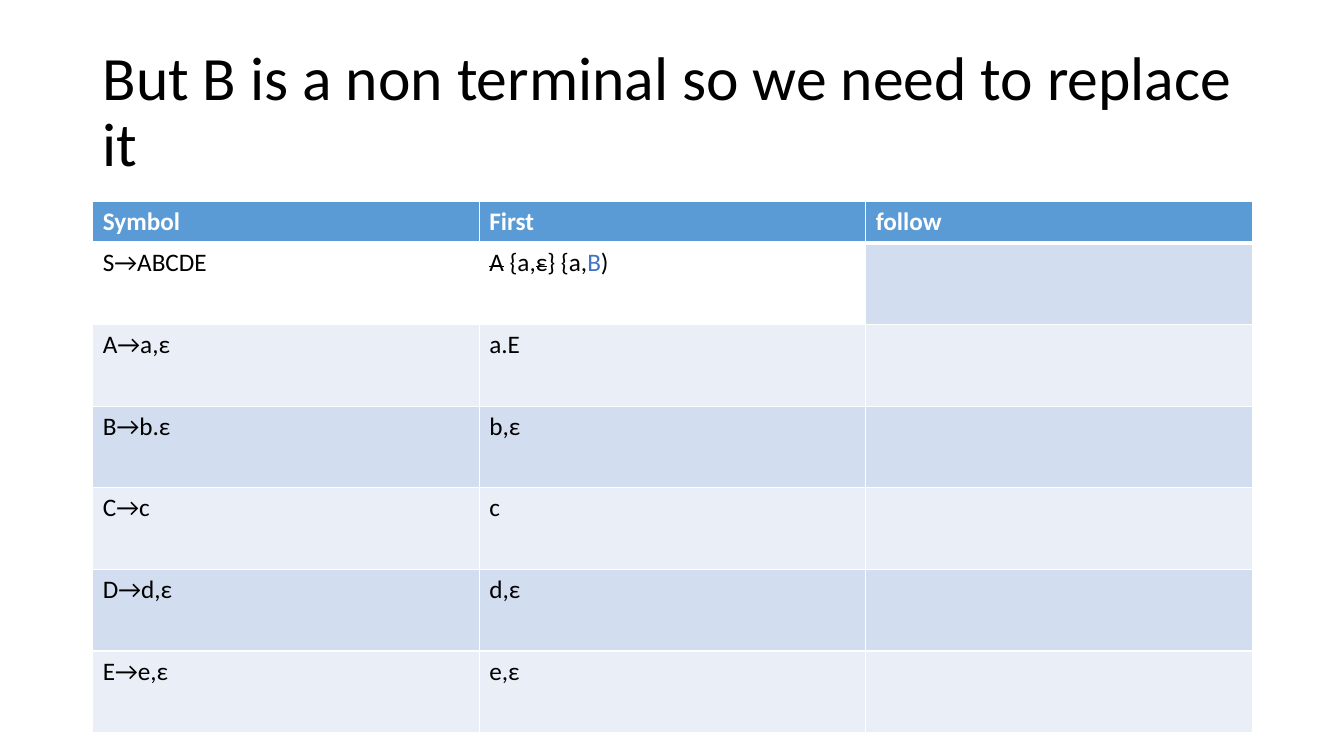
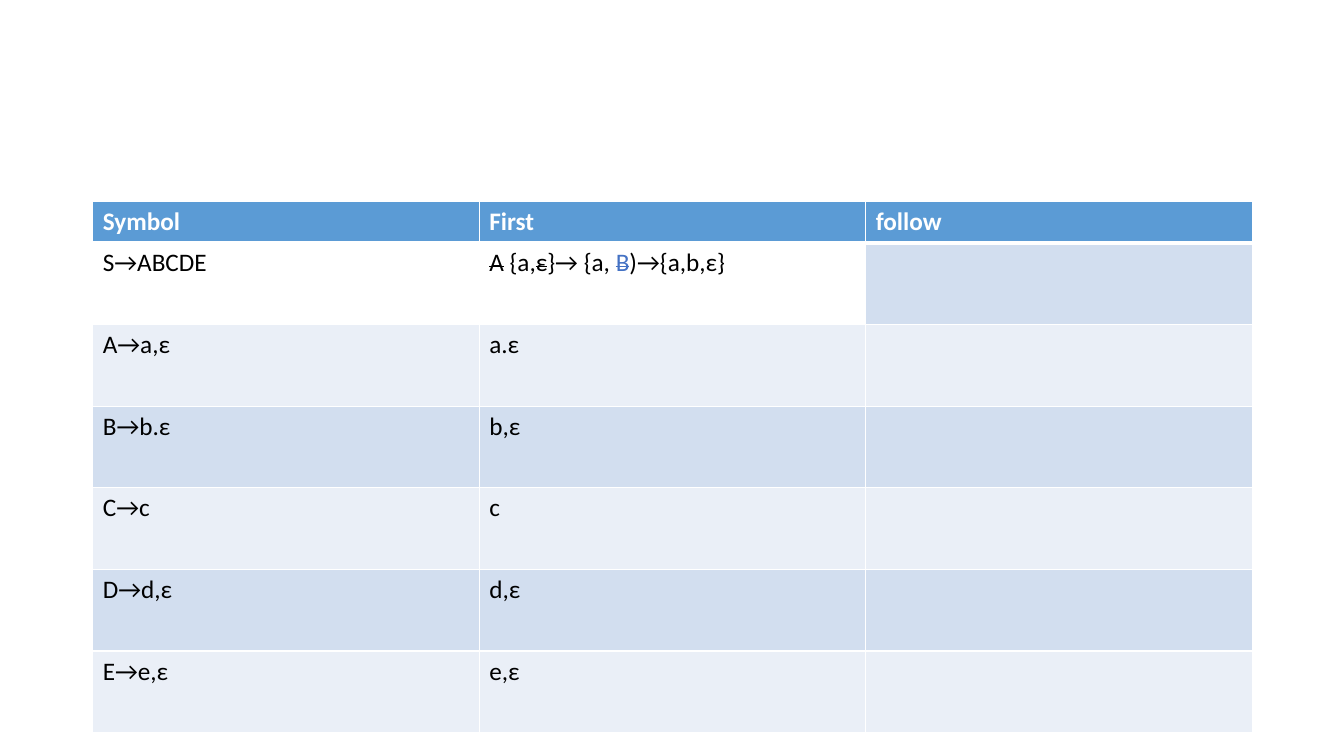
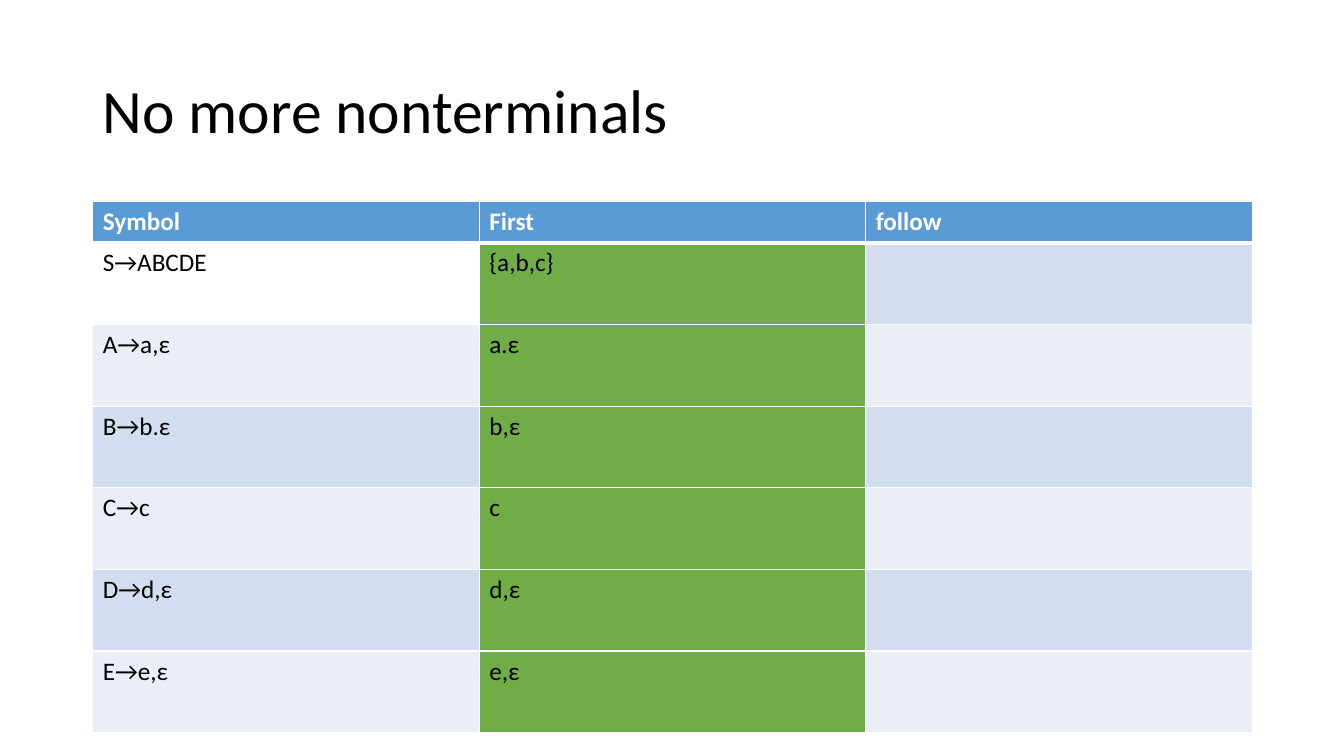
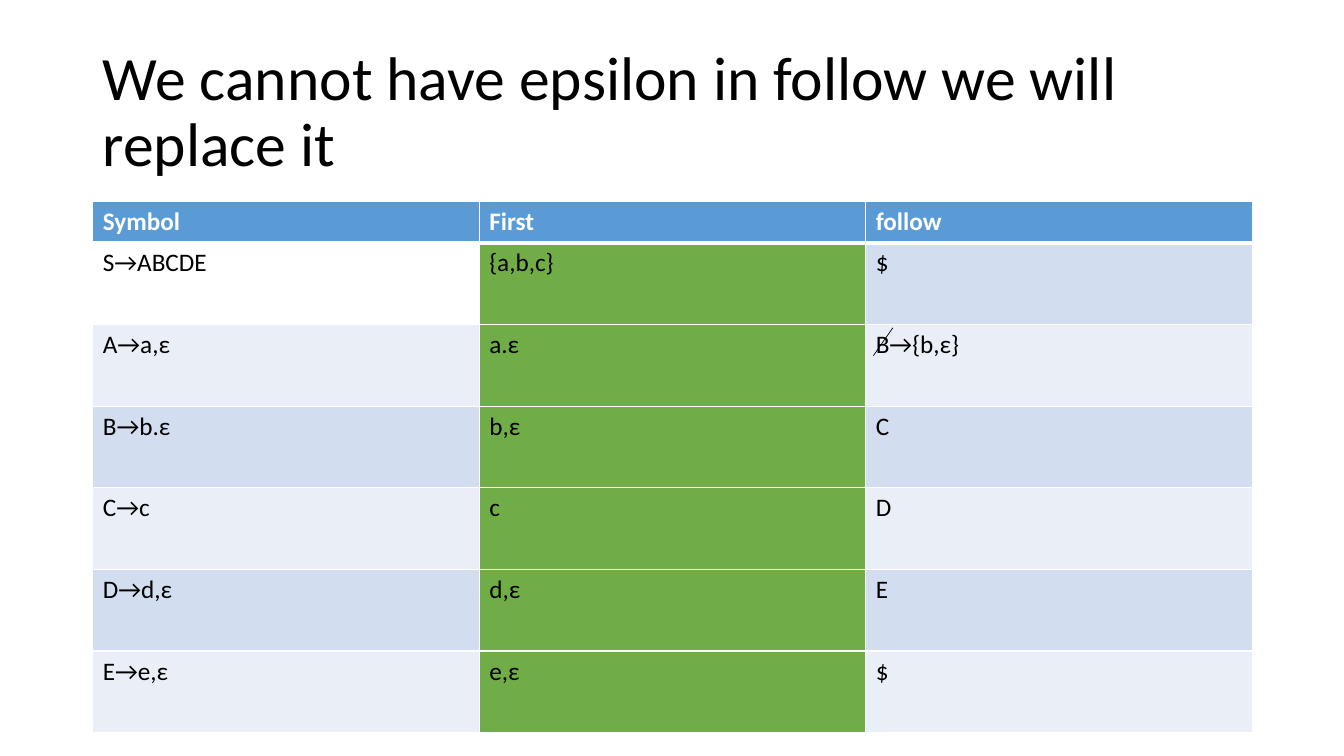
from dataclasses import dataclass
from itertools import product

from lxml.etree import SubElement
from pptx import Presentation
from pptx.dml.color import RGBColor
from pptx.enum.shapes import MSO_CONNECTOR
from pptx.enum.text import MSO_ANCHOR
from pptx.oxml.ns import qn
from pptx.util import Inches, Pt


@dataclass(frozen=True)
class Theme:
    font: str = "Calibri"
    title_size: int = 44
    body_size: int = 18
    black: str = "000000"
    white: str = "FFFFFF"
    header: str = "5B9BD5"
    bands: tuple = ("EAEFF7", "D2DEEF")
    done: str = "70AD47"
    accent: str = "4472C4"
    rule: int = 1
    header_rule: int = 3
    slash: float = 0.5


@dataclass(frozen=True)
class Grid:
    """Slide size and the three-column table grid, in inches."""
    slide_w: float = 13.33
    slide_h: float = 7.5
    left: float = 0.92
    width: float = 11.5
    title_top: float = 0.4
    title_h: float = 1.45
    top: float = 2
    head_h: float = 0.41
    row_h: float = 0.81
    cols: int = 3

    def x(self, col):
        return Inches(self.left + col * self.width / self.cols)

    def y(self, row):
        """Top of a body row; body rows count from 1 and may be fractional."""
        return Inches(self.top + self.head_h + (row - 1) * self.row_h)


class Deck:
    def __init__(self, theme, grid):
        self.theme, self.grid = theme, grid
        self.prs = Presentation()
        self.prs.slide_width = Inches(grid.slide_w)
        self.prs.slide_height = Inches(grid.slide_h)
        self.s = None

    def new_slide(self):
        self.s = self.prs.slides.add_slide(self.prs.slide_layouts[6])

    def text_run(self, p, text, color, strike=False, **formats):
        r = p.add_run()
        r.text = text
        for name, value in {"name": self.theme.font, **formats}.items():
            setattr(r.font, name, value)
        r.font.color.rgb = RGBColor.from_string(color)
        if strike:
            r._r.get_or_add_rPr().set("strike", "sngStrike")

    def title(self, text):
        g = self.grid
        box = self.s.shapes.add_textbox(
            g.x(0), Inches(g.title_top), Inches(g.width), Inches(g.title_h))
        tf = box.text_frame
        tf.word_wrap = True
        tf.vertical_anchor = MSO_ANCHOR.MIDDLE
        p = tf.paragraphs[0]
        p.line_spacing = 0.9
        self.text_run(p, text, self.theme.black, size=Pt(self.theme.title_size))

    def borders(self, cell, row):
        t = self.theme
        widths = {"L": t.rule, "R": t.rule,
                  "T": t.header_rule if row == 1 else t.rule,
                  "B": t.header_rule if row == 0 else t.rule}
        for side, width in widths.items():
            ln = SubElement(cell._tc.get_or_add_tcPr(), qn(f"a:ln{side}"), w=str(Pt(width)))
            fill = SubElement(ln, qn("a:solidFill"))
            SubElement(fill, qn("a:srgbClr"), val=t.white)

    def cell_fill(self, row, col, first_done):
        t = self.theme
        if row == 0:
            return t.header
        if col == 1 and first_done:
            return t.done
        if row == 1 and col < 2:
            return t.white
        return t.bands[row % 2]

    def table(self, rows, first_done):
        """Draw rows whose cells are text or lists of (text, formats) runs."""
        g, t = self.grid, self.theme
        body = len(rows) - 1
        frame = self.s.shapes.add_table(
            len(rows), g.cols, g.x(0), Inches(g.top), Inches(g.width),
            Inches(g.head_h + body * g.row_h))
        tbl = frame.table
        tbl.horz_banding = False
        for col in tbl.columns:
            col.width = Inches(g.width / g.cols)
        for i, row in enumerate(tbl.rows):
            row.height = Inches(g.row_h if i else g.head_h)
        for i, j in product(range(len(rows)), range(g.cols)):
            cell, content = tbl.cell(i, j), rows[i][j]
            self.borders(cell, i)
            cell.fill.solid()
            cell.fill.fore_color.rgb = RGBColor.from_string(self.cell_fill(i, j, first_done))
            p = cell.text_frame.paragraphs[0]
            p.font.size = Pt(t.body_size)
            runs = [(content, {})] if isinstance(content, str) else content
            for text, formats in runs:
                if text:
                    base = {"color": t.black if i else t.white,
                            "size": Pt(t.body_size), "bold": i == 0}
                    self.text_run(p, text, **{**base, **formats})

    def slash(self, start, end):
        """Draw a thin line between two (column, row) points of the grid."""
        g = self.grid
        line = self.s.shapes.add_connector(
            MSO_CONNECTOR.STRAIGHT, g.x(start[0]), g.y(start[1]), g.x(end[0]), g.y(end[1]))
        line.line.width = Pt(self.theme.slash)
        line.line.color.rgb = RGBColor.from_string(self.theme.black)
        SubElement(line._element.spPr, qn("a:effectLst"))


THEME = Theme()
HEADINGS = ("Symbol", "First", "follow")
PRODUCTIONS = ("S→ABCDE", "A→a,ε", "B→b.ε", "C→c", "D→d,ε", "E→e,ε")
FIRSTS = ("b,ε", "c", "d,ε", "e,ε")
NO_FOLLOWS = ("",) * len(PRODUCTIONS)
STRUCK = {"strike": True}
ACCENT = {"color": THEME.accent}

SLIDES = (
    {"title": "But B is a non terminal so we need to replace it",
     "first_s": [("A", STRUCK), (" {a,", {}), ("ε", STRUCK), ("} {a,", {}),
                 ("B", ACCENT), (")", {})],
     "first_a": "a.Ε"},
    {"first_s": [("A", STRUCK), (" {a,", {}), ("ε", STRUCK), ("}→ {a, ", {}),
                 ("B", {**ACCENT, **STRUCK}), (")→{a,b,ε}", {})]},
    {"title": "No more nonterminals", "first_s": "{a,b,c}", "done": True},
    {"title": "We cannot have epsilon in follow we will replace it",
     "first_s": "{a,b,c}", "done": True,
     "follows": ("$", "B→{b,ε}", "C", "D", "E", "$"),
     "slash": ((2.07, 2.04), (2.02, 2.38))},
)


def main():
    deck = Deck(THEME, Grid())
    for content in SLIDES:
        deck.new_slide()
        if "title" in content:
            deck.title(content["title"])
        firsts = (content["first_s"], content.get("first_a", "a.ε"), *FIRSTS)
        follows = content.get("follows", NO_FOLLOWS)
        deck.table([HEADINGS, *zip(PRODUCTIONS, firsts, follows)], content.get("done", False))
        if "slash" in content:
            deck.slash(*content["slash"])
    deck.prs.save("out.pptx")


if __name__ == "__main__":
    main()
